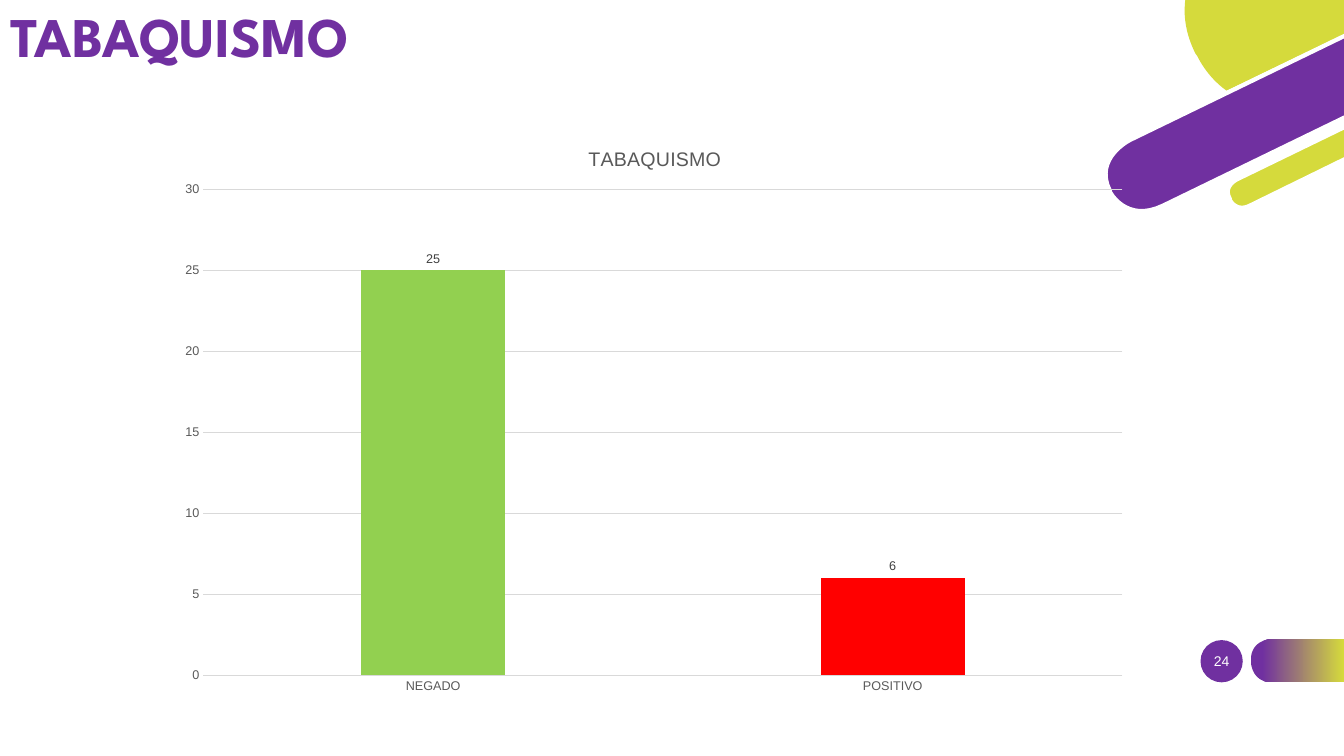
from lxml.etree import SubElement
from pptx import Presentation
from pptx.chart.data import CategoryChartData
from pptx.dml.color import RGBColor
from pptx.enum.chart import XL_CHART_TYPE, XL_LABEL_POSITION, XL_TICK_MARK
from pptx.enum.shapes import MSO_SHAPE
from pptx.enum.text import MSO_ANCHOR, PP_ALIGN
from pptx.oxml import parse_xml
from pptx.oxml.ns import nsdecls, qn
from pptx.util import Pt

PURPLE = RGBColor(0x70, 0x30, 0xA0)
LIME = RGBColor(0xD5, 0xDA, 0x3C)
WHITE = RGBColor(0xFF, 0xFF, 0xFF)
GREEN = RGBColor(0x92, 0xD0, 0x50)
RED = RGBColor(0xFF, 0x00, 0x00)
GRID_GRAY = RGBColor(0xD9, 0xD9, 0xD9)
AXIS_GRAY = RGBColor(0x59, 0x59, 0x59)
LABEL_GRAY = RGBColor(0x40, 0x40, 0x40)
CURVE_STEPS = 16

# Outlines in points: pairs are corners, sixes are Bezier curves
LIME_BLOB = [(67.4, 40.3), (67.4, 40.3, 73.8, 54.7, 88.2, 64.8), (172, 24.5), (172, 0),
             (58.7, 0), (57.3, 10.8, 58.7, 23.8, 65.9, 38.2)]
LIME_BAND = [(174, 90), (95.4, 128.2), (95.4, 128.2, 85.4, 133.2, 90.4, 141.8),
             (90.4, 142.6), (90.4, 142.6, 94.7, 151.9, 104.8, 146.9), (174, 113)]
PURPLE_BAND = [(19.1, 100.1), (19.1, 100.1, -6.8, 113, 4.7, 136.1), (4.7, 136.8),
               (4.7, 136.8, 16.2, 159.8, 42.9, 146.9), (174, 83.2), (174, 24.9)]
FOOTER_TAB = [(51.1, 30.9), (102.5, 30.9), (102.5, 0), (51.1, 0),
              (51.1, 0, 36, 0, 36, 15.1), (36, 15.8), (36, 15.8, 36, 30.9, 51.1, 30.9)]


def style_font(font, color, **values):
    for name, value in values.items():
        setattr(font, name, value)
    font.color.rgb = color


def curve_points(start, curve):
    nodes = [start, curve[:2], curve[2:4], curve[4:]]
    for step in range(1, CURVE_STEPS + 1):
        t = step / CURVE_STEPS
        weights = ((1 - t) ** 3, 3 * t * (1 - t) ** 2, 3 * t * t * (1 - t), t ** 3)
        yield tuple(sum(w * node[axis] for w, node in zip(weights, nodes)) for axis in (0, 1))


def add_outline(slide, left, top, outline, color, border=None):
    points = [outline[0]]
    for segment in outline[1:]:
        points.extend([segment] if len(segment) == 2 else curve_points(points[-1], segment))
    corners = [(Pt(left + x), Pt(top + y)) for x, y in points]
    builder = slide.shapes.build_freeform(*corners[0], scale=1.0)
    builder.add_line_segments(corners[1:], close=True)
    shape = builder.convert_to_shape()
    finish_shape(shape, color)
    if border:
        shape.line.color.rgb = border
        shape.line.width = Pt(3)
    return shape


def finish_shape(shape, color):
    shape.shadow.inherit = False
    shape.fill.solid()
    shape.fill.fore_color.rgb = color
    shape.line.fill.background()


def add_corner(slide, left, top):
    add_outline(slide, left, top, LIME_BLOB, LIME)
    add_outline(slide, left, top, LIME_BAND, LIME, WHITE)
    add_outline(slide, left, top, PURPLE_BAND, PURPLE, WHITE)


def add_footer(slide, left, top, number):
    # Number badge
    badge = slide.shapes.add_shape(MSO_SHAPE.OVAL, Pt(left), Pt(top + 0.7), Pt(30.2), Pt(30.2))
    finish_shape(badge, PURPLE)

    # Gradient tab
    fill = add_outline(slide, left, top, FOOTER_TAB, PURPLE).fill
    fill.gradient()
    fill.gradient_angle = 0
    for stop, (position, color) in zip(fill.gradient_stops, [(0.12, PURPLE), (1, LIME)]):
        stop.position = position
        stop.color.rgb = color

    # Slide number
    box = slide.shapes.add_textbox(Pt(left - 6.5), Pt(top + 1.4), Pt(43.2), Pt(28.8))
    frame = box.text_frame
    frame.word_wrap = True
    frame.vertical_anchor = MSO_ANCHOR.MIDDLE
    paragraph = frame.paragraphs[0]
    paragraph.text = number
    paragraph.alignment = PP_ALIGN.CENTER
    style_font(paragraph.runs[0].font, WHITE, name="Arial", size=Pt(10))


def add_title(slide, left, top, width, height, text):
    title = slide.shapes.title
    box = {"left": left, "top": top, "width": width, "height": height}
    for name, value in box.items():
        setattr(title, name, Pt(value))
    frame = title.text_frame
    frame.word_wrap = True
    frame.vertical_anchor = MSO_ANCHOR.MIDDLE
    paragraph = frame.paragraphs[0]
    paragraph.text = text
    paragraph.alignment = PP_ALIGN.LEFT
    paragraph.line_spacing = 0.9
    style_font(paragraph.runs[0].font, PURPLE, name="League Spartan", size=Pt(40), bold=True)


def set_layout(parent, index, values):
    for old in parent.findall(qn("c:layout")):
        parent.remove(old)
    layout = parse_xml(f"<c:layout {nsdecls('c')}><c:manualLayout/></c:layout>")
    for name, value in values.items():
        SubElement(layout[0], qn(f"c:{name}")).set("val", str(value))
    parent.insert(index, layout)


def add_smoking_chart(slide, left, top, width, height):
    data = CategoryChartData()
    data.categories = ["NEGADO", "POSITIVO"]
    data.add_series("Series 1", (25, 6))
    chart = slide.shapes.add_chart(XL_CHART_TYPE.COLUMN_CLUSTERED, Pt(left), Pt(top),
                                   Pt(width), Pt(height), data).chart
    style_font(chart.font, AXIS_GRAY, name="Arial", size=Pt(10))
    chart.has_legend = False

    # Chart title
    chart.has_title = True
    paragraph = chart.chart_title.text_frame.paragraphs[0]
    paragraph.text = "TABAQUISMO"
    style_font(paragraph.runs[0].font, AXIS_GRAY, name="Arial", size=Pt(14), bold=False)

    # Axes and grid
    for axis in (chart.category_axis, chart.value_axis):
        axis.major_tick_mark = axis.minor_tick_mark = XL_TICK_MARK.NONE
        style_font(axis.tick_labels.font, AXIS_GRAY, name="Arial", size=Pt(9))
    chart.value_axis.maximum_scale = 30
    chart.value_axis.minimum_scale = 0
    chart.value_axis.major_unit = 5
    chart.value_axis.format.line.fill.background()
    for line in (chart.category_axis.format.line, chart.value_axis.major_gridlines.format.line):
        line.color.rgb = GRID_GRAY
        line.width = Pt(0.75)

    # Columns and labels
    plot = chart.plots[0]
    plot.vary_by_categories = False
    plot.gap_width = 219
    plot.overlap = -27
    series = plot.series[0]
    series.format.fill.solid()
    series.format.fill.fore_color.rgb = PURPLE
    for index, color in enumerate((GREEN, RED)):
        point_fill = series.points[index].format.fill
        point_fill.solid()
        point_fill.fore_color.rgb = color
    labels = series.data_labels
    labels.show_value = True
    labels.position = XL_LABEL_POSITION.OUTSIDE_END
    style_font(labels.font, LABEL_GRAY, name="Arial", size=Pt(9))

    # Places of title and plot, as shares of the chart
    chart_element = chart.element.find(qn("c:chart"))
    set_layout(chart_element.find(qn("c:title")), 1,
               {"xMode": "edge", "yMode": "edge", "x": 0.43, "y": 0.04})
    set_layout(chart_element.find(qn("c:plotArea")), 0,
               {"layoutTarget": "inner", "xMode": "edge", "yMode": "edge",
                "x": 0.04, "y": 0.12, "w": 0.94, "h": 0.83})


def main():
    presentation = Presentation()
    presentation.slide_width = Pt(960)
    presentation.slide_height = Pt(540)
    slide = presentation.slides.add_slide(presentation.slide_layouts[5])
    add_corner(slide, 788, 0)
    add_footer(slide, 857.5, 456.5, "24")
    add_title(slide, 0, -17.3, 656, 90.7, "TABAQUISMO")
    add_smoking_chart(slide, 117.4, 85, 698.4, 418.3)
    presentation.save("out.pptx")


if __name__ == "__main__":
    main()
